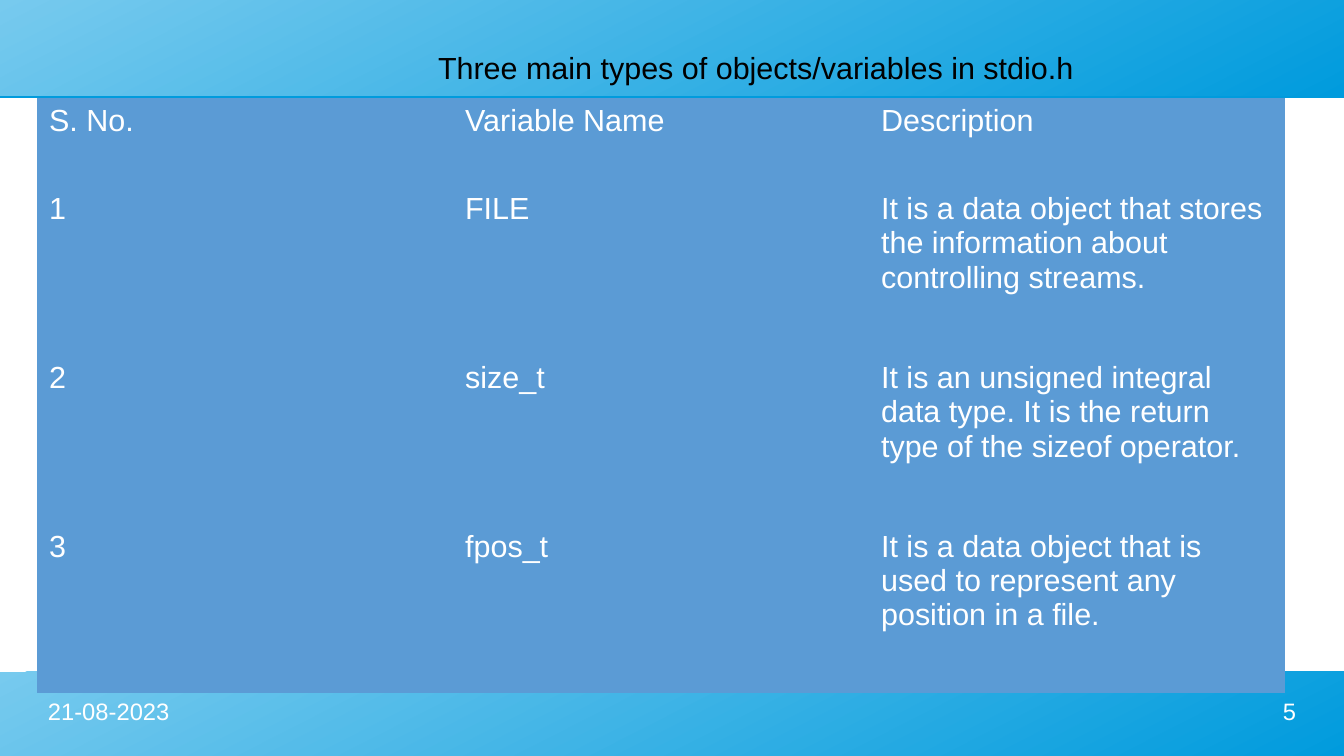
from lxml.etree import SubElement
from pptx import Presentation
from pptx.dml.color import RGBColor
from pptx.enum.shapes import MSO_SHAPE
from pptx.enum.text import MSO_ANCHOR, PP_ALIGN
from pptx.oxml.ns import qn
from pptx.util import Pt

SCALE = 7495  # EMU per px
WIDTH, HEIGHT = 1344, 756
WHITE = RGBColor(0xFF, 0xFF, 0xFF)
BLACK = RGBColor(0, 0, 0)
SKY = RGBColor(0x77, 0xCA, 0xEE)
AZURE = RGBColor(0x00, 0x9B, 0xDD)
STEEL = RGBColor(0x5B, 0x9B, 0xD5)
PLAIN_STYLE = "{2D5ABB26-0587-4C30-8999-92F81FD0307C}"

ROWS = [
    ("S. No.", "Variable Name", "Description"),
    ("1", "FILE", "It is a data object that stores the information about "
                  "controlling streams."),
    ("2", "size_t", "It is an unsigned integral data type. It is the return "
                    "type of the sizeof operator."),
    ("3", "fpos_t", "It is a data object that is used to represent any "
                    "position in a file."),
]


def px(*values):
    return [value * SCALE for value in values]


class Page:
    """Holds the text style and the slide being filled."""

    font = "Arial"

    def __init__(self, slide):
        self.slide = slide

    def style(self, frame, size, color, align=PP_ALIGN.LEFT):
        para = frame.paragraphs[0]
        para.alignment = align
        look = {"name": self.font, "size": Pt(size), "bold": False}
        for key, value in look.items():
            setattr(para.font, key, value)
        para.font.color.rgb = color

    def band(self, top, height):
        """Draw a full-width gradient strip with a thin shadow below it."""
        shape = self.slide.shapes.add_shape(
            MSO_SHAPE.RECTANGLE, *px(0, top, WIDTH, height))
        shape.line.fill.background()
        shape.fill.gradient()
        shape.fill.gradient_angle = 297
        for stop, color, place in zip(
                shape.fill.gradient_stops, (SKY, AZURE), (0, 1)):
            stop.color.rgb = color
            stop.position = place
        shape.shadow.inherit = False
        effects = shape.element.spPr.find(qn("a:effectLst"))
        shadow = SubElement(effects, qn("a:outerShdw"), blurRad="0",
                            dist=str(Pt(0.9)), dir="5400000", rotWithShape="0")
        SubElement(shadow, qn("a:srgbClr"), val=str(AZURE))

    def text(self, words, box, size, color, align=PP_ALIGN.LEFT,
             inset=(0, 0), wrap=True):
        frame = self.slide.shapes.add_textbox(*px(*box)).text_frame
        side, edge = px(*inset)
        look = {"margin_left": side, "margin_right": side,
                "margin_top": edge, "margin_bottom": edge,
                "word_wrap": wrap, "vertical_anchor": MSO_ANCHOR.TOP}
        for key, value in look.items():
            setattr(frame, key, value)
        frame.text = words
        self.style(frame, size, color, align)

    def table(self, rows, left, top, wide, heights):
        count = len(rows[0])
        shape = self.slide.shapes.add_table(
            len(rows), count, *px(left, top, wide * count, sum(heights)))
        grid = shape.table
        grid.first_row = grid.horz_banding = False
        for node in shape.element.iter(qn("a:tableStyleId")):
            node.text = PLAIN_STYLE
        for col in grid.columns:
            col.width = wide * SCALE
        for row, height, words in zip(grid.rows, heights, rows):
            row.height = height * SCALE
            for cell, word in zip(row.cells, words):
                cell.text = word
                cell.fill.solid()
                cell.fill.fore_color.rgb = STEEL
                self.style(cell.text_frame, 18, WHITE)


def main():
    deck = Presentation()
    deck.slide_width, deck.slide_height = px(WIDTH, HEIGHT)
    page = Page(deck.slides.add_slide(deck.slide_layouts[6]))
    page.band(0, 96)
    page.band(672, 84)
    page.text("21-08-2023", (48, 697, 312, 48), 14, WHITE)
    page.text("5", (984, 697, 312, 48), 14, WHITE, PP_ALIGN.RIGHT)
    page.table(ROWS, 37, 98, 416, [88] + [169] * 3)
    page.text("Three main types of objects/variables in stdio.h",
              (426, 43, 660, 46), 18, BLACK, inset=(12, 6), wrap=False)
    deck.save("out.pptx")


if __name__ == "__main__":
    main()
